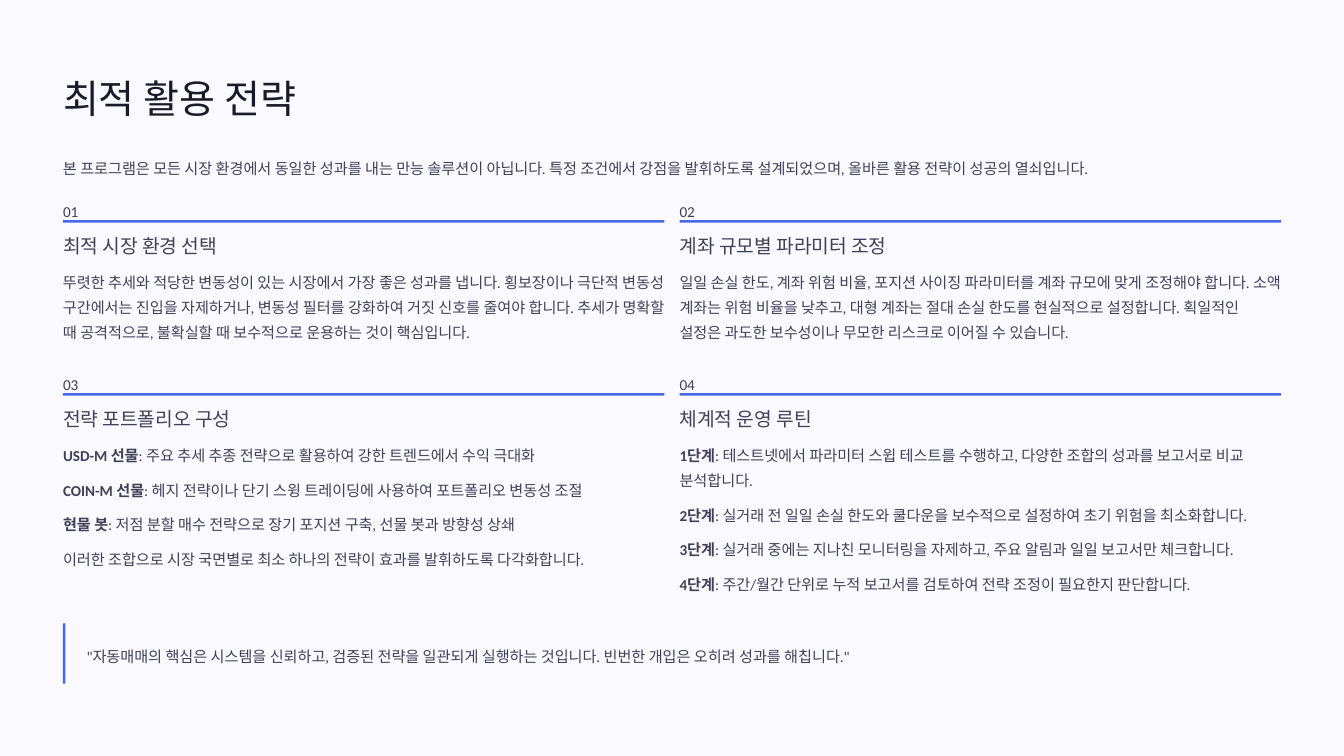
from lxml import etree
from pptx import Presentation
from pptx.dml.color import RGBColor
from pptx.enum.shapes import MSO_SHAPE
from pptx.enum.text import MSO_ANCHOR, MSO_AUTO_SIZE, PP_ALIGN
from pptx.oxml.ns import qn
from pptx.util import Inches, Pt

RECT = MSO_SHAPE.RECTANGLE
TOP = MSO_ANCHOR.TOP
FIXED = MSO_AUTO_SIZE.NONE
LEFT = PP_ALIGN.LEFT
color = RGBColor.from_string
FONT = "Calibri"
INK, TEXT, BLUE, PAPER = "1B1B27", "404155", "4967E9", "F9F9FF"

deck = Presentation()
deck.slide_width = Inches(16)
deck.slide_height = Inches(9)
slide = deck.slides.add_slide(deck.slide_layouts[3])
slide.background.fill.solid()
slide.background.fill.fore_color.rgb = color(PAPER)
shapes = slide.shapes


def write(box, area, lines, size=13, lead=21.5, ink=TEXT, wrap=False):
    box.left, box.top, box.width, box.height = [Inches(n) for n in area]
    frame = box.text_frame
    frame.margin_left = frame.margin_top = 0
    frame.margin_right = frame.margin_bottom = 0
    frame.word_wrap = wrap
    frame.auto_size = FIXED
    frame.vertical_anchor = TOP
    for i, (term, rest) in enumerate(lines):
        para = frame.add_paragraph() if i else frame.paragraphs[0]
        props = para._p.get_or_add_pPr()
        props.set("marL", "0")
        props.set("indent", "0")
        etree.SubElement(props, qn("a:buNone"))
        para.alignment = LEFT
        para.line_spacing = Pt(lead)
        para.space_before = Pt(8.3 if i else 0)
        for words, bold in ((term, True), (rest, False)):
            if words:
                run = para.add_run()
                run.text = words
                run.font.name = FONT
                run.font.size = Pt(size)
                run.font.bold = bold
                run.font.color.rgb = color(ink)


def bar(*area):
    line = shapes.add_shape(RECT, *[Inches(n) for n in area])
    line.shadow.inherit = False
    line.fill.solid()
    line.fill.fore_color.rgb = color(BLUE)
    line.line.fill.background()


def label(area, words, **style):
    box = shapes.add_textbox(0, 0, 0, 0)
    write(box, area, [("", words)], **style)


write(shapes.title, (0.75, 0.86, 4.67, 0.58), [("", "최적 활용 전략")],
      size=33.5, lead=42, ink=INK)
label((0.75, 1.82, 14.5, 0.3),
      "본 프로그램은 모든 시장 환경에서 동일한 성과를 내는 만능 솔루션이 아닙니다. "
      "특정 조건에서 강점을 발휘하도록 설계되었으며, 올바른 활용 전략이 성공의 열쇠입니다.")

parts = [
    ("최적 시장 환경 선택", [
        ("", "뚜렷한 추세와 적당한 변동성이 있는 시장에서 가장 좋은 성과를 냅니다. "
             "횡보장이나 극단적 변동성 구간에서는 진입을 자제하거나, "
             "변동성 필터를 강화하여 거짓 신호를 줄여야 합니다. "
             "추세가 명확할 때 공격적으로, 불확실할 때 보수적으로 운용하는 것이 핵심입니다."),
    ]),
    ("계좌 규모별 파라미터 조정", [
        ("", "일일 손실 한도, 계좌 위험 비율, 포지션 사이징 파라미터를 계좌 규모에 맞게 조정해야 합니다. "
             "소액 계좌는 위험 비율을 낮추고, 대형 계좌는 절대 손실 한도를 현실적으로 설정합니다. "
             "획일적인 설정은 과도한 보수성이나 무모한 리스크로 이어질 수 있습니다."),
    ]),
    ("전략 포트폴리오 구성", [
        ("USD-M 선물", ": 주요 추세 추종 전략으로 활용하여 강한 트렌드에서 수익 극대화"),
        ("COIN-M 선물", ": 헤지 전략이나 단기 스윙 트레이딩에 사용하여 포트폴리오 변동성 조절"),
        ("현물 봇", ": 저점 분할 매수 전략으로 장기 포지션 구축, 선물 봇과 방향성 상쇄"),
        ("", "이러한 조합으로 시장 국면별로 최소 하나의 전략이 효과를 발휘하도록 다각화합니다."),
    ]),
    ("체계적 운영 루틴", [
        ("1단계", ": 테스트넷에서 파라미터 스윕 테스트를 수행하고, "
                "다양한 조합의 성과를 보고서로 비교 분석합니다."),
        ("2단계", ": 실거래 전 일일 손실 한도와 쿨다운을 보수적으로 설정하여 초기 위험을 최소화합니다."),
        ("3단계", ": 실거래 중에는 지나친 모니터링을 자제하고, 주요 알림과 일일 보고서만 체크합니다."),
        ("4단계", ": 주간/월간 단위로 누적 보고서를 검토하여 전략 조정이 필요한지 판단합니다."),
    ]),
]
for i, (head, lines) in enumerate(parts):
    row, col = divmod(i, 2)
    x = 0.75 + 7.34 * col
    y = 2.33 + 2.06 * row
    label((x, y, 0.19, 0.23), f"{i + 1:02}")
    bar(x, y + 0.29, 7.16, 0.03)
    label((x, y + 0.44, 2.49, 0.29), head, size=16.5, lead=21)
    if row:
        box = slide.placeholders[col + 1]
    else:
        box = shapes.add_textbox(0, 0, 0, 0)
    tall = 1.84 if row else 0.9
    write(box, (x, y + 0.84, 7.16, tall), lines, wrap=True)

label((1.03, 7.63, 14.22, 0.3),
      '"자동매매의 핵심은 시스템을 신뢰하고, 검증된 전략을 일관되게 실행하는 것입니다. '
      '빈번한 개입은 오히려 성과를 해칩니다."')
bar(0.75, 7.42, 0.03, 0.72)

deck.save("out.pptx")
